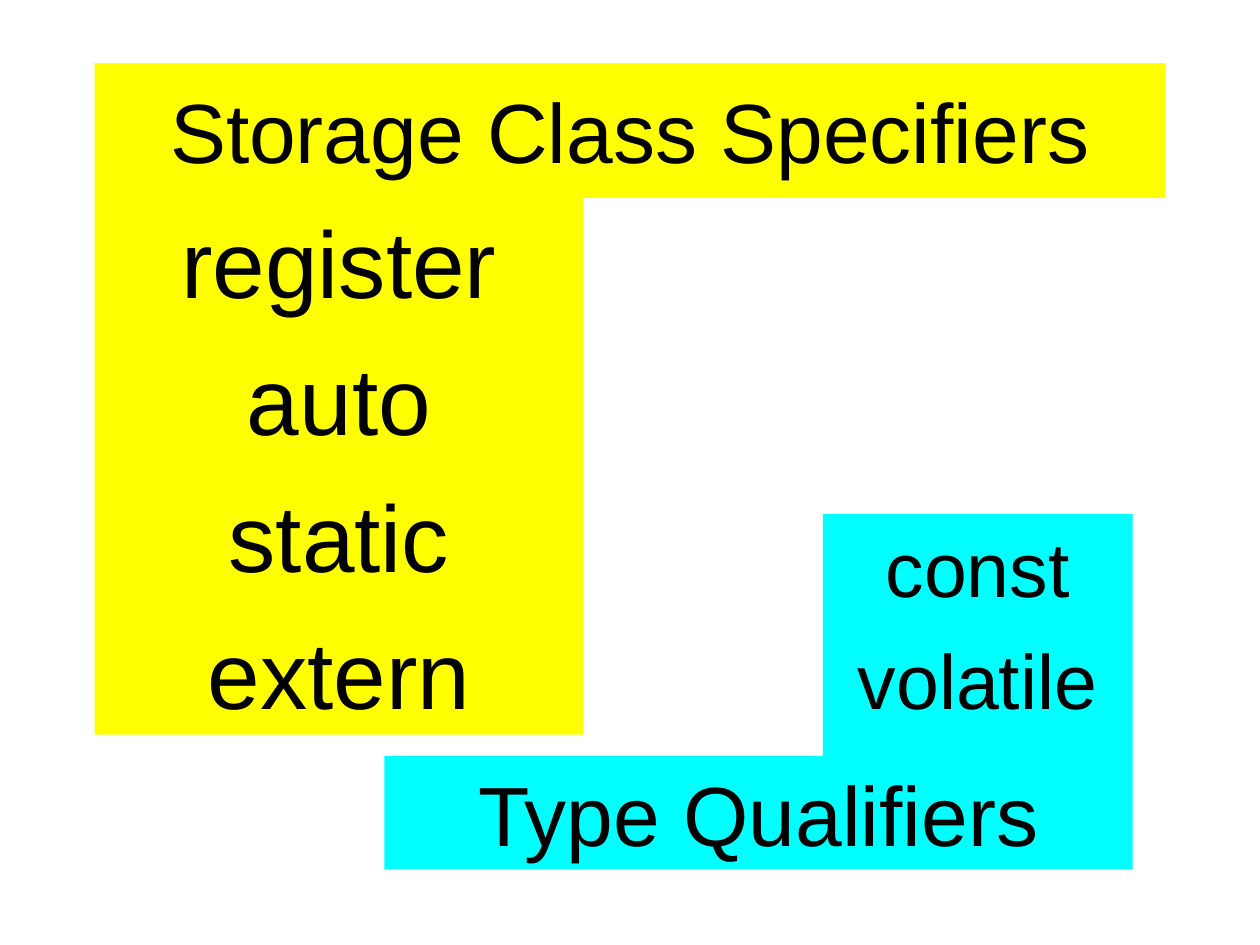
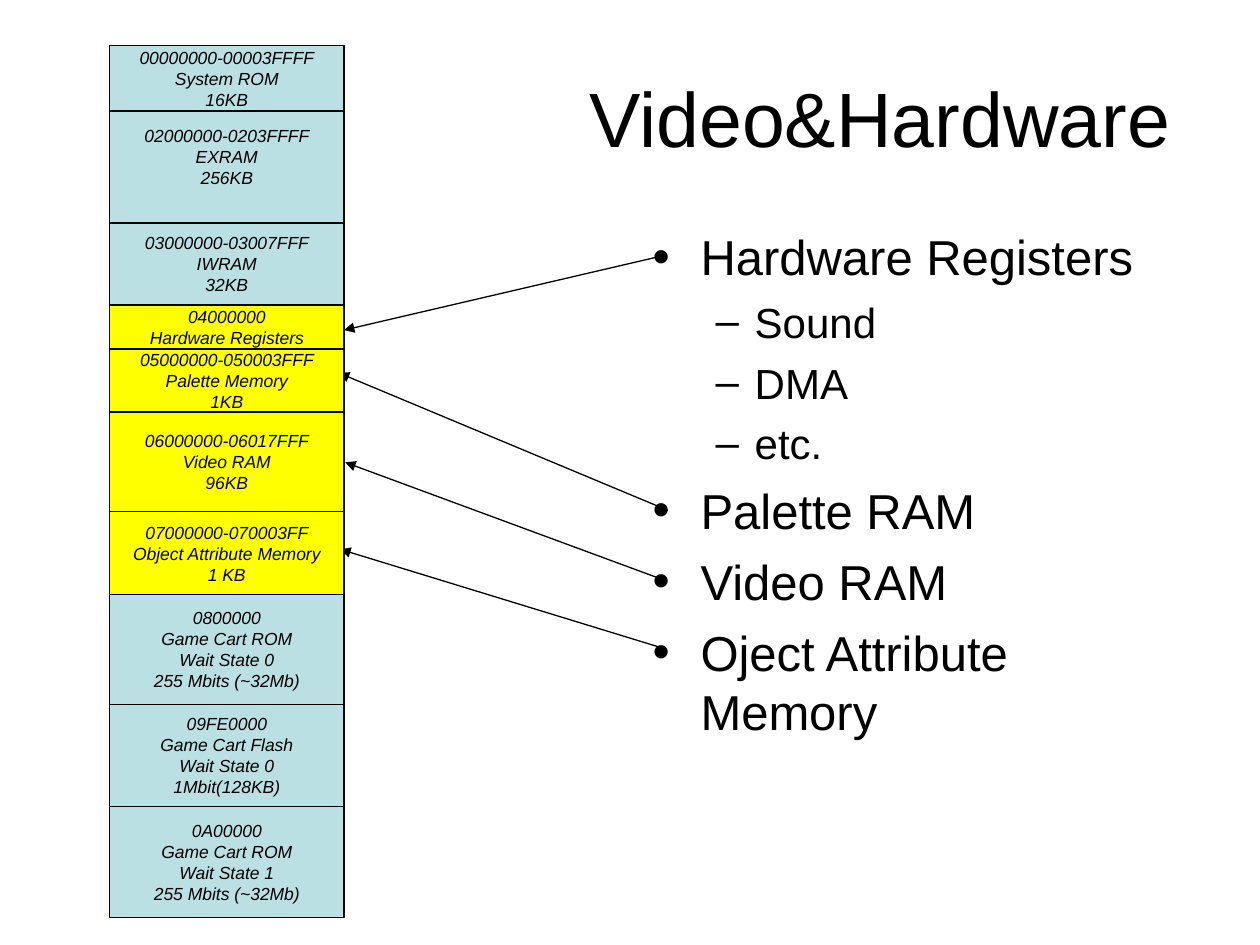
import pptx
import pptx.dml.color
import pptx.enum.shapes
import pptx.enum.text
import pptx.oxml
import pptx.oxml.ns
import pptx.util
from pptx.util import Inches

COLORS = {"text": "000000", "storage": "FFFF00", "qualifier": "00FFFF",
          "memory": "BBE0E3", "video": "FFFF00"}
FONT = "Arial"
LINE_HEIGHT = 1.2  # line pitch as a multiple of the text size
BULLETS = [  # one per list level: sign, indents, size, space before
    {"char": "•", "left": 0.38, "hang": 0.38, "size": 28, "before": 7},
    {"char": "–", "left": 0.81, "hang": 0.31, "size": 24, "before": 6},
]
CENTER = pptx.enum.text.PP_ALIGN.CENTER
MIDDLE = pptx.enum.text.MSO_ANCHOR.MIDDLE
TOP = pptx.enum.text.MSO_ANCHOR.TOP


# Shared helpers
def color(name):
    return pptx.dml.color.RGBColor.from_string(COLORS[name])


def set_all(target, values):
    for name, value in values.items():
        setattr(target, name, value)


def place(shape, box):
    set_all(shape, dict(zip(("left", "top", "width", "height"), map(Inches, box))))


def add_bar(slide, box, fill, outlined=False):
    bar = slide.shapes.add_shape(pptx.enum.shapes.MSO_SHAPE.RECTANGLE, *map(Inches, box))
    bar.shadow.inherit = False
    fill_with(bar, fill)
    if outlined:
        bar.line.color.rgb = color("text")
        bar.line.width = pptx.util.Pt(0.75)
    else:
        bar.line.fill.background()
    return bar


def fill_with(shape, fill):
    shape.fill.solid()
    shape.fill.fore_color.rgb = color(fill)


def set_bullet(paragraph, bullet):
    """Give the paragraph its indents and sign, or none of either."""
    properties = paragraph._p.get_or_add_pPr()
    left, hang = (bullet["left"], bullet["hang"]) if bullet else (0, 0)
    properties.set("marL", str(Inches(left)))
    properties.set("indent", str(-Inches(hang)))
    namespace = pptx.oxml.ns.nsdecls("a")
    if bullet:
        parts = [f'<a:buClr {namespace}><a:srgbClr val="{COLORS["text"]}"/></a:buClr>',
                 f'<a:buChar {namespace} char="{bullet["char"]}"/>']
    else:
        parts = [f"<a:buNone {namespace}/>"]
    for part in parts:
        properties.append(pptx.oxml.parse_xml(part))


def write_line(paragraph, text, size, before=0, italic=False, align=CENTER, bullet=None):
    set_bullet(paragraph, bullet)
    set_all(paragraph, {"alignment": align,
                        "line_spacing": pptx.util.Pt(size * LINE_HEIGHT),
                        "space_before": pptx.util.Pt(before)})
    run = paragraph.add_run()
    run.text = text
    set_all(run.font, {"name": FONT, "size": pptx.util.Pt(size), "italic": italic})
    run.font.color.rgb = color("text")


def paragraphs_for(frame, lines):
    """Yield each line with its paragraph and whether it is the first."""
    for index, line in enumerate(lines):
        yield (frame.add_paragraph() if index else frame.paragraphs[0]), line, index == 0


def write_lines(shape, lines, size, before=0, anchor=MIDDLE, wrap=True, italic=False):
    frame = shape.text_frame
    set_all(frame, {"word_wrap": wrap, "vertical_anchor": anchor,
                    "auto_size": pptx.enum.text.MSO_AUTO_SIZE.NONE})
    for paragraph, line, first in paragraphs_for(frame, lines):
        write_line(paragraph, line, size, 0 if first else before, italic)


def write_title(slide, text, box, size):
    place(slide.shapes.title, box)
    write_lines(slide.shapes.title, [text], size)
    return slide.shapes.title


# Slide 1: keyword groups
def fill_keywords(keywords, box, words, size, fill):
    place(keywords, box)
    fill_with(keywords, fill)
    write_lines(keywords, words, size, before=size / 4, anchor=TOP)


def build_specifiers(slide):
    # Type qualifiers, the list standing on its heading
    right, heading_top = 8.99, 6
    heading = add_bar(slide, (right - 5.94, heading_top, 5.94, 0.9), "qualifier")
    write_lines(heading, ["Type Qualifiers"], 48)
    fill_keywords(slide.placeholders[2], (right - 2.46, heading_top - 1.92, 2.46, 1.92),
                  ["const", "volatile"], 44, "qualifier")

    # Storage classes, the list hanging from the title
    left, top, title_height = 0.75, 0.5, 1.07
    title = write_title(slide, "Storage Class Specifiers",
                        (left, top, 8.5, title_height), 48)
    fill_with(title, "storage")
    fill_keywords(slide.placeholders[1], (left, top + title_height, 3.88, 4.26),
                  ["register", "auto", "static", "extern"], 54, "storage")


# Slide 2: memory map
MEMORY_REGIONS = [  # height, fill, lines
    (0.52, "memory", ["00000000-00003FFFF", "System ROM", "16KB"]),
    (0.89, "memory", ["02000000-0203FFFF", "EXRAM", "256KB"]),
    (0.65, "memory", ["03000000-03007FFF", "IWRAM", "32KB"]),
    (0.35, "video", ["04000000", "Hardware Registers"]),
    (0.5, "video", ["05000000-050003FFF", "Palette Memory", "1KB"]),
    (0.79, "video", ["06000000-06017FFF", "Video RAM", "96KB"]),
    (0.66, "video", ["07000000-070003FF", "Object Attribute Memory", "1 KB"]),
    (0.87, "memory", ["0800000", "Game Cart ROM", "Wait State 0", "255 Mbits (~32Mb)"]),
    (0.81, "memory", ["09FE0000", "Game Cart Flash", "Wait State 0", "1Mbit(128KB)"]),
    (0.88, "memory", ["0A00000", "Game Cart ROM", "Wait State 1", "255 Mbits (~32Mb)"]),
]
TOPICS = [  # level, text
    (0, "Hardware Registers"), (1, "Sound"), (1, "DMA"), (1, "etc."),
    (0, "Palette RAM"), (0, "Video RAM"), (0, "Oject Attribute Memory"),
]
POINTERS = [  # from a topic to its region
    ((5.26, 2.03), (2.73, 2.62)),
    ((5.3, 4.05), (2.69, 2.96)),
    ((5.28, 5.15), (2.7, 4.36)),
    ((5.26, 4.6), (2.74, 3.67)),
]


def add_memory_map(slide, left, top, width):
    for height, fill, lines in MEMORY_REGIONS:
        region = add_bar(slide, (left, top, width, height), fill, outlined=True)
        write_lines(region, lines, 10, wrap=False, italic=True)
        if "EXRAM" in lines:  # its text sits one line higher
            region.text_frame.margin_bottom = Inches(0.22)
        top += height


def add_pointer(slide, start, end):
    pointer = slide.shapes.add_connector(
        pptx.enum.shapes.MSO_CONNECTOR.STRAIGHT, *map(Inches, start + end))
    pointer.line.color.rgb = color("text")
    pointer.line.width = pptx.util.Pt(0.75)
    namespace = pptx.oxml.ns.nsdecls("a")
    pointer.line._get_or_add_ln().append(
        pptx.oxml.parse_xml(f'<a:tailEnd {namespace} type="triangle"/>'))
    pointer._element.spPr.append(pptx.oxml.parse_xml(f"<a:effectLst {namespace}/>"))


def write_topics(topics, box):
    place(topics, box)
    frame = topics.text_frame
    set_all(frame, {"word_wrap": True, "vertical_anchor": TOP,
                    "auto_size": pptx.enum.text.MSO_AUTO_SIZE.NONE})
    for paragraph, (level, text), first in paragraphs_for(frame, TOPICS):
        bullet = BULLETS[level]
        paragraph.level = level
        write_line(paragraph, text, bullet["size"], 0 if first else bullet["before"],
                   align=pptx.enum.text.PP_ALIGN.LEFT, bullet=bullet)


def build_memory(slide):
    write_title(slide, "Video&Hardware", (4.47, 0.3, 5.03, 1.25), 44)
    write_topics(slide.placeholders[1], (5.08, 1.75, 4.42, 4.95))
    # Pointers lie behind the memory map
    for start, end in POINTERS:
        add_pointer(slide, start, end)
    add_memory_map(slide, 0.87, 0.36, 1.86)


def main():
    deck = pptx.Presentation()
    set_all(deck, {"slide_width": Inches(10), "slide_height": Inches(7.5)})
    for layout, build in (("Two Content", build_specifiers),
                          ("Title and Content", build_memory)):
        build(deck.slides.add_slide(deck.slide_layouts.get_by_name(layout)))
    deck.save("out.pptx")


if __name__ == "__main__":
    main()
